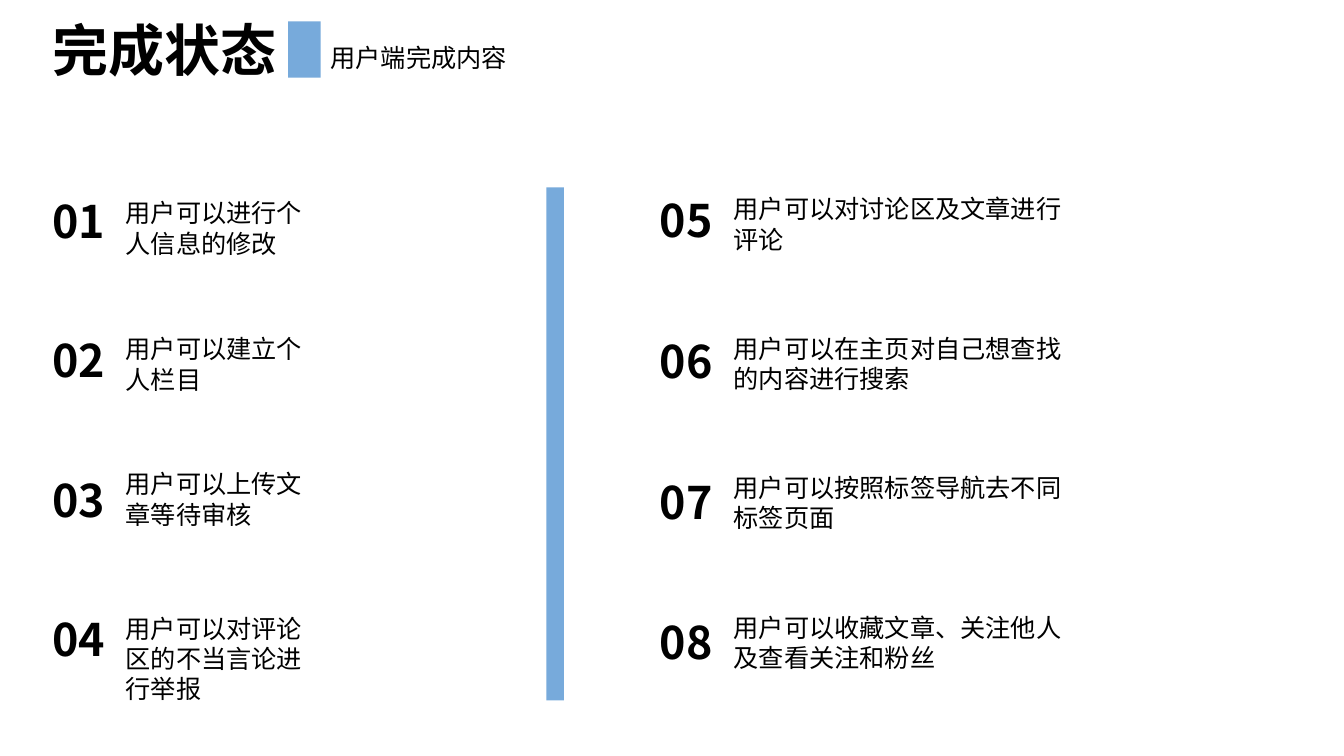
from dataclasses import dataclass

import pptx
import pptx.dml.color
import pptx.enum.shapes
import pptx.enum.text
import pptx.oxml
import pptx.oxml.ns
import pptx.util

Cm = pptx.util.Cm
FONT = "Noto Sans CJK SC"
COLORS = {"text": "000000", "accent": "77AADB"}
FORMATS = {
    "title": {"size": pptx.util.Pt(40), "bold": True, "name": FONT},
    "number": {"size": pptx.util.Pt(32), "bold": True, "name": FONT},
    "body": {"size": pptx.util.Pt(18), "bold": False, "name": FONT},
}
FRAME_FORMAT = {
    "auto_size": pptx.enum.text.MSO_AUTO_SIZE.SHAPE_TO_FIT_TEXT,
    "vertical_anchor": pptx.enum.text.MSO_ANCHOR.TOP,
    "margin_left": Cm(0.25),
    "margin_right": Cm(0.25),
    "margin_top": Cm(0.13),
    "margin_bottom": Cm(0.13),
}
NUMBER_HEIGHT = 1.63
BODY_HEIGHTS = {1: 1.03, 2: 1.8, 3: 2.56}


@dataclass(frozen=True)
class Box:
    """A place on the slide, in centimetres."""
    left: float
    top: float
    width: float
    height: float


@dataclass(frozen=True)
class Feature:
    text: str
    top: float
    width: float
    lines: int = 2


@dataclass(frozen=True)
class FeatureColumn:
    first_number: int
    number_left: float
    number_top: float
    number_width: float
    pitch: float
    text_left: float
    features: tuple[Feature, ...]


COLUMNS = (
    FeatureColumn(1, 1.07, 4.75, 2.26, 3.515, 2.92, (
        Feature("用户可以进行个人信息的修改", 4.85, 5.56),
        Feature("用户可以建立个人栏目", 8.28, 5.56),
        Feature("用户可以上传文章等待审核", 11.68, 5.56),
        Feature("用户可以对评论区的不当言论进行举报", 15.32, 5.56, 3),
    )),
    FeatureColumn(5, 16.38, 4.72, 1.91, 3.55, 18.24, (
        Feature("用户可以对讨论区及文章进行评论", 4.75, 8.81),
        Feature("用户可以在主页对自己想查找的内容进行搜索", 8.26, 8.81),
        Feature("用户可以按照标签导航去不同标签页面", 11.76, 9.17),
        Feature("用户可以收藏文章、关注他人及查看关注和粉丝", 15.29, 8.81),
    )),
)


def set_attributes(target: object, values: dict) -> None:
    for name, value in values.items():
        setattr(target, name, value)


def place(shape, box: Box) -> None:
    set_attributes(shape, {
        "left": Cm(box.left), "top": Cm(box.top),
        "width": Cm(box.width), "height": Cm(box.height),
    })


def write_text(shape, text: str, style: str, wrap: bool = True) -> None:
    frame = shape.text_frame
    set_attributes(frame, FRAME_FORMAT)
    frame.word_wrap = wrap
    paragraph = frame.paragraphs[0]
    paragraph.alignment = pptx.enum.text.PP_ALIGN.LEFT
    run = paragraph.add_run()
    run.text = text
    set_attributes(run.font, FORMATS[style])
    run.font.color.rgb = pptx.dml.color.RGBColor.from_string(COLORS["text"])
    east_asian = pptx.oxml.parse_xml(
        f'<a:ea {pptx.oxml.ns.nsdecls("a")} typeface="{FONT}"/>')
    run.font._element.append(east_asian)


def add_text(slide, box: Box, text: str, style: str) -> None:
    shape = slide.shapes.add_textbox(0, 0, 0, 0)
    place(shape, box)
    write_text(shape, text, style)


def add_bar(slide, box: Box, rotation: float = 0) -> None:
    bar = slide.shapes.add_shape(
        pptx.enum.shapes.MSO_SHAPE.RECTANGLE, 0, 0, 0, 0)
    place(bar, box)
    bar.rotation = rotation
    bar.shadow.inherit = False
    bar.fill.solid()
    bar.fill.fore_color.rgb = pptx.dml.color.RGBColor.from_string(COLORS["accent"])
    bar.line.fill.background()


def add_column(slide, column: FeatureColumn) -> None:
    for row, feature in enumerate(column.features):
        number_box = Box(column.number_left, column.number_top + row * column.pitch,
                         column.number_width, NUMBER_HEIGHT)
        add_text(slide, number_box, f"{column.first_number + row:02d}", "number")
        text_box = Box(column.text_left, feature.top, feature.width,
                       BODY_HEIGHTS[feature.lines])
        add_text(slide, text_box, feature.text, "body")


def main() -> None:
    presentation = pptx.Presentation()
    presentation.slide_width = Cm(33.87)
    presentation.slide_height = Cm(19.05)
    slide = presentation.slides.add_slide(presentation.slide_layouts[5])
    title = slide.shapes.title
    place(title, Box(1.07, 0.25, 6.15, 1.96))
    write_text(title, "完成状态", "title", wrap=False)
    add_bar(slide, Box(6.96, 0.84, 1.42, 0.82), rotation=90)
    add_text(slide, Box(8.08, 0.94, 7.62, BODY_HEIGHTS[1]), "用户端完成内容", "body")
    add_bar(slide, Box(13.77, 4.72, 0.44, 12.93))
    for column in COLUMNS:
        add_column(slide, column)
    presentation.save("out.pptx")


if __name__ == "__main__":
    main()
